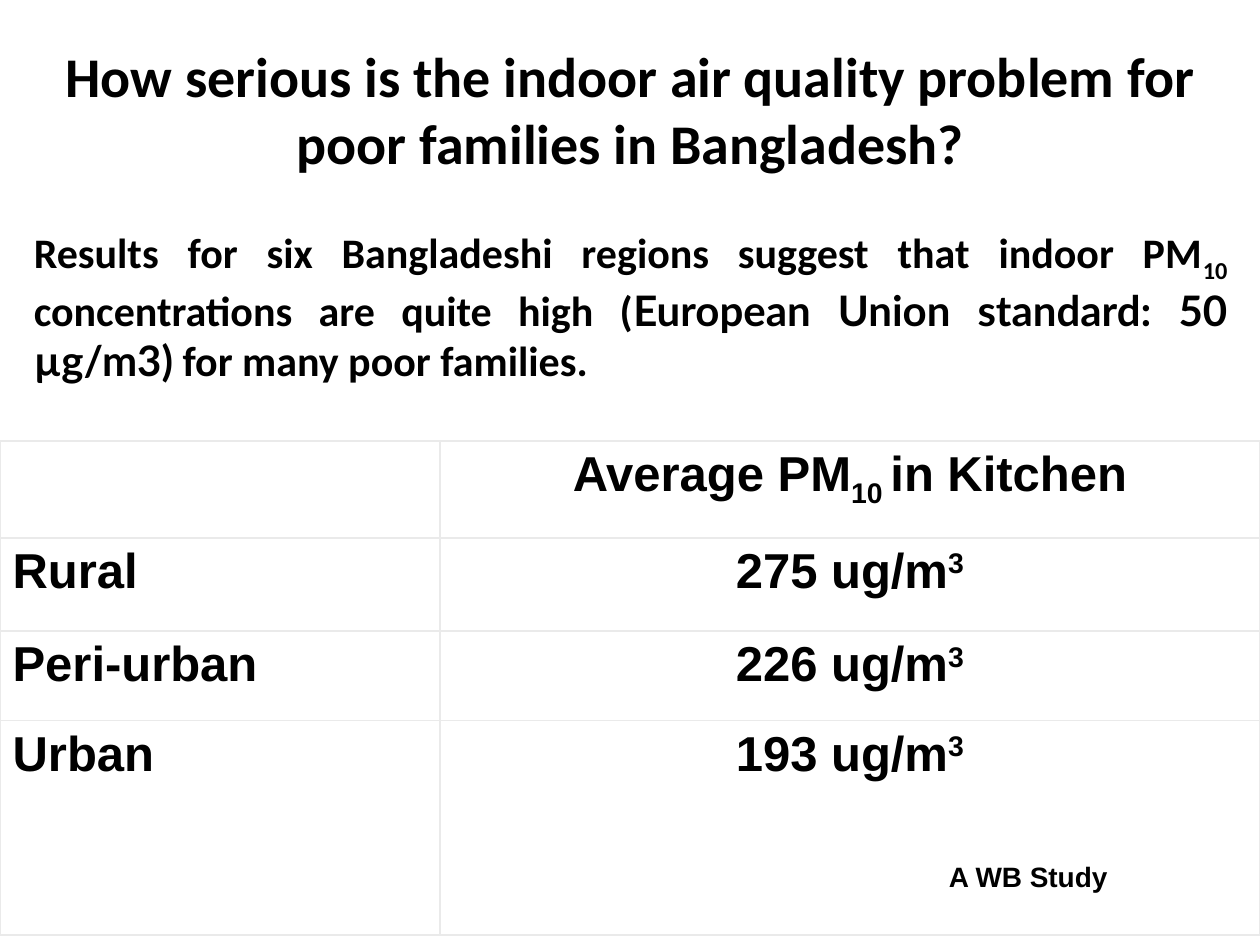
from lxml.etree import SubElement
from pptx import Presentation
from pptx.dml.color import RGBColor
from pptx.enum.text import MSO_ANCHOR, PP_ALIGN
from pptx.oxml.ns import qn
from pptx.util import Inches, Pt

SUB, SUP = -25000, 30000
ROWS = [("Rural", "275"), ("Peri-urban", "226"), ("Urban", "193")]
HEIGHTS = [0.77, 0.74, 0.71, 1.7]
WIDTHS = [3.49, 6.51]


def color(text):
    return RGBColor.from_string(text)


def write(par, parts, size, font="Calibri", align=PP_ALIGN.LEFT):
    """Fill a paragraph from (text, baseline shift, font or None) parts."""
    par.alignment = align
    par.font.name, par.font.size, par.font.bold = font, Pt(size), True
    par.font.color.rgb = color("000000")
    for text, shift, face in parts:
        run = par.add_run()
        run.text = text
        if shift:
            run.font._element.set("baseline", str(shift))
        if face:
            run.font.name = face


def border(cell, tint, width):
    props = cell._tc.get_or_add_tcPr()
    for side in ("lnL", "lnR", "lnT", "lnB"):
        line = SubElement(props, qn(f"a:{side}"), w=str(Pt(width)))
        fill = SubElement(line, qn("a:solidFill"))
        SubElement(fill, qn("a:srgbClr"), val=tint)


def add_title(slide, left, top, width, height):
    title = slide.shapes.title
    title.left, title.top = Inches(left), Inches(top)
    title.width, title.height = Inches(width), Inches(height)
    frame = title.text_frame
    frame.vertical_anchor = MSO_ANCHOR.MIDDLE
    text = "How serious is the indoor air quality problem for poor families in Bangladesh?"
    write(frame.paragraphs[0], [(text, 0, None)], 32, align=PP_ALIGN.CENTER)


def add_finding(slide, left, top, width, height):
    box = slide.shapes.add_textbox(Inches(left), Inches(top), Inches(width), Inches(height))
    box.text_frame.word_wrap = True
    parts = [
        ("Results for six Bangladeshi regions suggest that indoor PM", 0, None),
        ("10 ", SUB, None),
        ("concentrations are quite high (", 0, None),
        ("European Union standard: 50 µg/m3)", 0, "Lato"),
        (" for many poor families.", 0, None),
    ]
    write(box.text_frame.paragraphs[0], parts, 24, align=PP_ALIGN.JUSTIFY)


def add_levels(slide, left, top):
    """Table of kitchen levels by region, with its source in the last cell."""
    frame = slide.shapes.add_table(
        len(HEIGHTS), len(WIDTHS), Inches(left), Inches(top),
        Inches(sum(WIDTHS)), Inches(sum(HEIGHTS)))
    table = frame.table
    for col, width in zip(table.columns, WIDTHS):
        col.width = Inches(width)
    for row, height in zip(table.rows, HEIGHTS):
        row.height = Inches(height)
    for cell in table.iter_cells():
        border(cell, "EAEAEA", 1.08)
        cell.fill.background()

    head = [("Average PM", 0, None), ("10 ", SUB, None), ("in Kitchen", 0, None)]
    grid = [([], head)]
    grid += [([(name, 0, None)], [(f"{value} ug/m", 0, None), ("3", SUP, None)])
             for name, value in ROWS]
    for row, pair in enumerate(grid):
        for col, parts in enumerate(pair):
            par = table.cell(row, col).text_frame.paragraphs[0]
            write(par, parts, 28, "Arial", PP_ALIGN.CENTER if col else PP_ALIGN.LEFT)

    credit = table.cell(len(ROWS), 1).text_frame.add_paragraph()
    credit.space_before = Pt(46)
    credit._p.get_or_add_pPr().set("marL", str(Inches(3.94)))
    write(credit, [("A WB Study", 0, None)], 16, "Arial")


def main():
    deck = Presentation()
    deck.slide_width, deck.slide_height = Inches(10), Inches(7.5)
    slide = deck.slides.add_slide(deck.slide_layouts[5])
    add_title(slide, 0.17, 0.17, 9.67, 1.38)
    add_levels(slide, 0, 3.5)
    add_finding(slide, 0.17, 1.75, 9.67, 1.36)
    deck.save("out.pptx")


if __name__ == "__main__":
    main()
